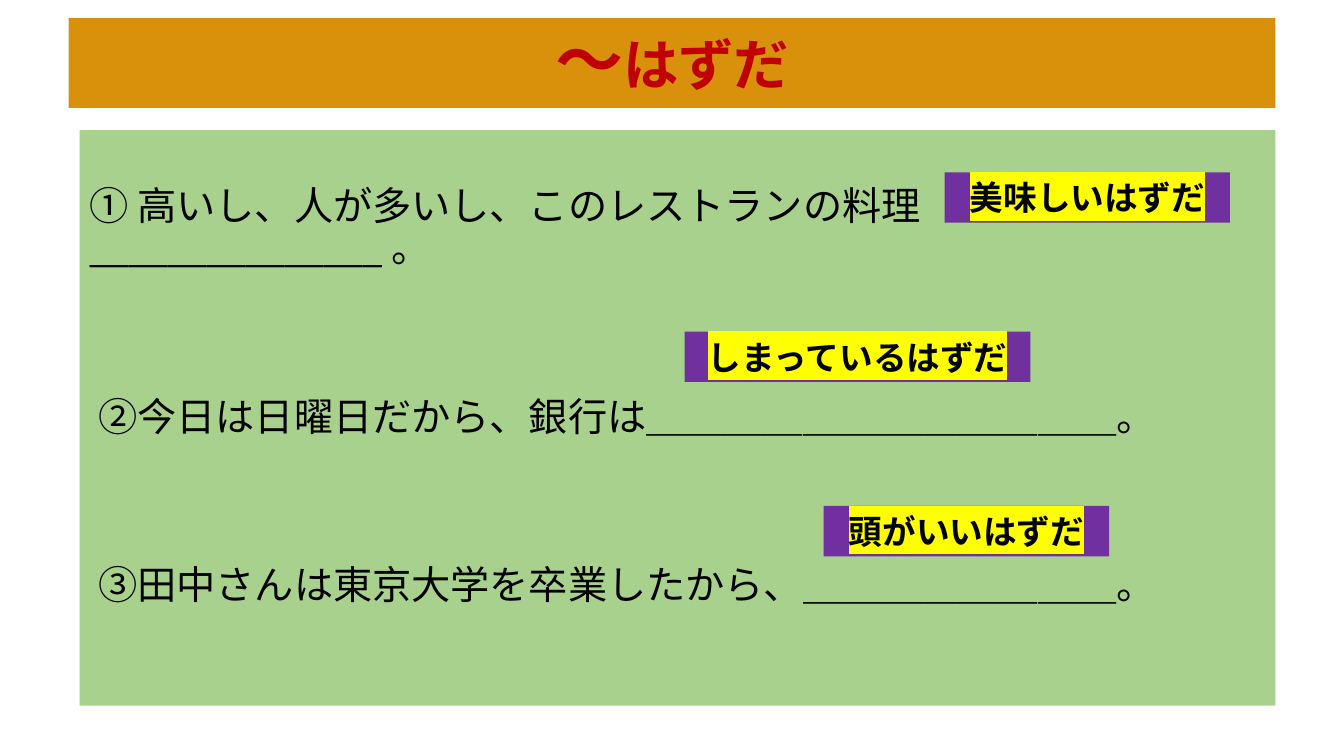
from pptx import Presentation
from pptx.util import Inches, Pt
from pptx.dml.color import RGBColor as RGB
from pptx.enum.shapes import MSO_SHAPE as Shape
from pptx.enum.text import MSO_ANCHOR as Anchor, PP_ALIGN as Align
from pptx.oxml import parse_xml
from pptx.oxml.ns import nsdecls

HUES = {
    "title": "D9910B",
    "body": "A9D18E",
    "label": "7030A0",
    "red": "C00000",
    "black": "000000",
    "mark": "FFFF00",
}
LINES = [
    "① 高いし、人が多いし、このレストランの料理_______________。",
    " ②今日は日曜日だから、銀行は＿＿＿＿＿＿＿＿＿＿＿＿。",
    " ③田中さんは東京大学を卒業したから、＿＿＿＿＿＿＿＿。",
]
LABELS = [
    ("美味しいはずだ", (9.37, 1.71, 2.83, 0.5)),
    ("しまっているはずだ", (6.79, 3.29, 3.43, 0.5)),
    ("頭がいいはずだ", (8.17, 5.02, 2.83, 0.5)),
]


def add_box(slide, box, hue, anchor):
    shape = slide.shapes.add_shape(Shape.RECTANGLE, *map(Inches, box))
    shape.shadow.inherit = False
    shape.fill.solid()
    shape.fill.fore_color.rgb = RGB.from_string(HUES[hue])
    shape.line.fill.background()
    frame = shape.text_frame
    frame.word_wrap = True
    frame.vertical_anchor = anchor
    return frame


def add_run(para, text, size, hue, bold):
    run = para.add_run()
    run.text = text
    style = {"size": Pt(size), "bold": bold, "name": "Calibri"}
    for key, value in style.items():
        setattr(run.font, key, value)
    run.font.color.rgb = RGB.from_string(HUES[hue])
    return run


def add_title(slide, box):
    para = add_box(slide, box, "title", Anchor.MIDDLE).paragraphs[0]
    para.alignment = Align.CENTER
    para.line_spacing = 0.9
    for text, size in (("～", 48.6), ("はずだ", 39.6)):
        add_run(para, text, size, "red", True)


def add_body(slide, box):
    frame = add_box(slide, box, "body", Anchor.TOP)
    frame.margin_top = Inches(0.56)
    for order, text in enumerate(LINES):
        para = frame.add_paragraph() if order else frame.paragraphs[0]
        para.alignment = Align.LEFT
        para.line_spacing = 0.9
        para.space_before = Pt(90 if order else 0)
        add_run(para, text, 28, "black", False)


def add_label(slide, text, box):
    para = add_box(slide, box, "label", Anchor.TOP).paragraphs[0]
    para.alignment = Align.CENTER
    run = add_run(para, text, 24, "black", True)
    mark = parse_xml(
        f'<a:highlight {nsdecls("a")}><a:srgbClr val="{HUES["mark"]}"/></a:highlight>'
    )
    run.font.fill._xPr.find(".//{*}solidFill").addnext(mark)


def main():
    deck = Presentation()
    deck.slide_width = Inches(13.33)
    deck.slide_height = Inches(7.5)
    slide = deck.slides.add_slide(deck.slide_layouts[6])
    add_title(slide, (0.68, 0.18, 11.97, 0.89))
    add_body(slide, (0.79, 1.29, 11.86, 5.71))
    for text, box in LABELS:
        add_label(slide, text, box)
    deck.save("out.pptx")


if __name__ == "__main__":
    main()
